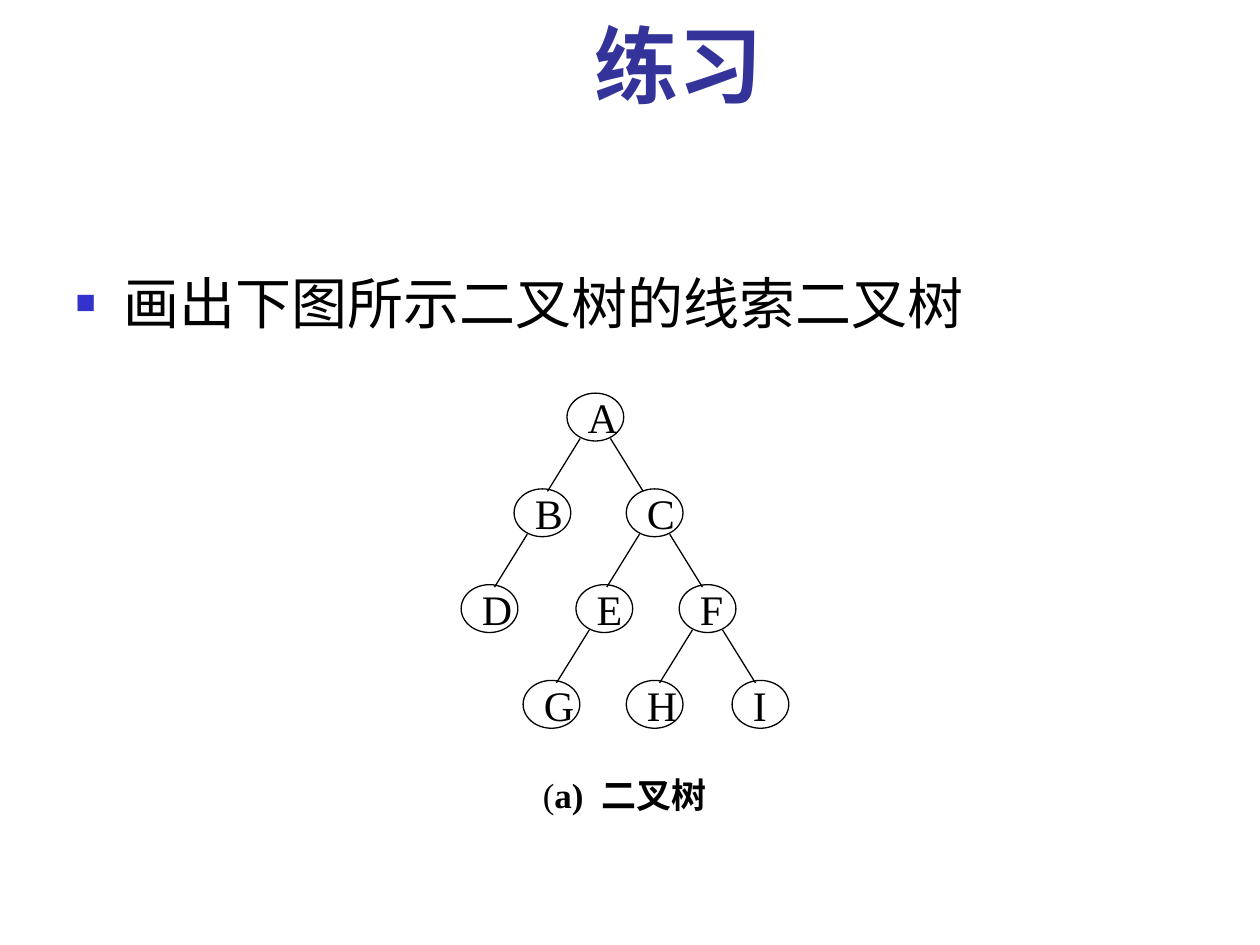
from lxml import etree
from pptx import Presentation
from pptx.dml.color import RGBColor
from pptx.enum.shapes import MSO_CONNECTOR as Link, MSO_SHAPE as Form
from pptx.enum.text import MSO_ANCHOR as Anchor, MSO_AUTO_SIZE as Fit, PP_ALIGN as Align
from pptx.oxml.ns import qn
from pptx.util import Inches, Pt

WIDE, HIGH = 0.45, 0.38
COL, ROW = 0.42, 0.76
SERIF, SANS = "Times New Roman", "Roboto"
NODES = {
    "A": (2, 0), "B": (1, 1), "C": (3.12, 1),
    "D": (0, 2), "E": (2.17, 2), "F": (4.12, 2),
    "G": (1.17, 3), "H": (3.12, 3), "I": (5.12, 3),
}
EDGES = ["AB", "AC", "BD", "CE", "CF", "EG", "FH", "FI"]


def color(code):
    return RGBColor.from_string(code)


def inches(*box):
    return [Inches(part) for part in box]


def style(font, name, size, code="000000", bold=False):
    font.name, font.size, font.bold = name, Pt(size), bold
    font.color.rgb = color(code)


def place(shape, box):
    shape.left, shape.top, shape.width, shape.height = inches(*box)
    shape.text_frame.auto_size = Fit.NONE


def title(slide, box):
    shape = slide.shapes.title
    place(shape, box)
    frame = shape.text_frame
    frame.vertical_anchor = Anchor.BOTTOM
    frame.text = "练习"
    para = frame.paragraphs[0]
    para.alignment = Align.CENTER
    style(para.font, SANS, 48, "333399", True)


def bullet(para, sign, code, share):
    props = para._p.get_or_add_pPr()
    props.set("marL", str(Inches(0.38)))
    props.set("indent", str(-Inches(0.38)))
    tint = etree.SubElement(props, qn("a:buClr"))
    etree.SubElement(tint, qn("a:srgbClr"), val=code)
    etree.SubElement(props, qn("a:buSzPct"), val=str(share * 1000))
    etree.SubElement(props, qn("a:buChar"), char=sign)


def body(slide, box):
    shape = slide.placeholders[1]
    place(shape, box)
    shape.text_frame.text = "画出下图所示二叉树的线索二叉树"
    para = shape.text_frame.paragraphs[0]
    bullet(para, "■", "3333CC", 60)
    para.space_before = Pt(0)
    style(para.font, SANS, 32)


def node(group, name, x, y):
    shape = group.shapes.add_shape(Form.OVAL, *inches(x, y, WIDE, HIGH))
    shape.shadow.inherit = False
    shape.fill.background()
    shape.line.color.rgb = color("000000")
    shape.line.width = Pt(0.75)
    frame = shape.text_frame
    frame.word_wrap = False
    frame.vertical_anchor = Anchor.MIDDLE
    frame.text = name
    para = frame.paragraphs[0]
    para.alignment = Align.LEFT
    style(para.font, SERIF, 24)


def edge(group, x, y, side):
    start = x + WIDE / 2 + side * 0.12, y + 0.36
    end = start[0] + side * 0.26, start[1] + 0.42
    line = group.shapes.add_connector(Link.STRAIGHT, *inches(*start, *end))
    line.line.color.rgb = color("000000")
    line.line.width = Pt(0.75)
    etree.SubElement(line._element.spPr, qn("a:effectLst"))


def caption(group, box):
    shape = group.shapes.add_textbox(*inches(*box))
    frame = shape.text_frame
    frame.word_wrap = False
    frame.vertical_anchor = Anchor.MIDDLE
    para = frame.paragraphs[0]
    para.alignment = Align.LEFT
    for text, bold in [("(", False), ("a)  二叉树", True)]:
        run = para.add_run()
        run.text = text
        style(run.font, SERIF, 20, bold=bold)


def tree(slide, left, top):
    group = slide.shapes.add_group_shape()
    spots = {name: (left + col * COL, top + row * ROW)
             for name, (col, row) in NODES.items()}
    for name, spot in spots.items():
        node(group, name, *spot)
    for head, tail in EDGES:
        side = 1 if spots[tail][0] > spots[head][0] else -1
        edge(group, *spots[head], side)
    caption(group, (left + 0.55, top + 2.99, 1.7, 0.39))


def main():
    deck = Presentation()
    deck.slide_width, deck.slide_height = inches(10, 7.5)
    slide = deck.slides.add_slide(deck.slide_layouts[1])
    title(slide, (1.08, 0.21, 8.61, 0.75))
    body(slide, (0.5, 2.08, 9.29, 5.17))
    tree(slide, 3.66, 3.12)
    deck.save("out.pptx")


if __name__ == "__main__":
    main()
